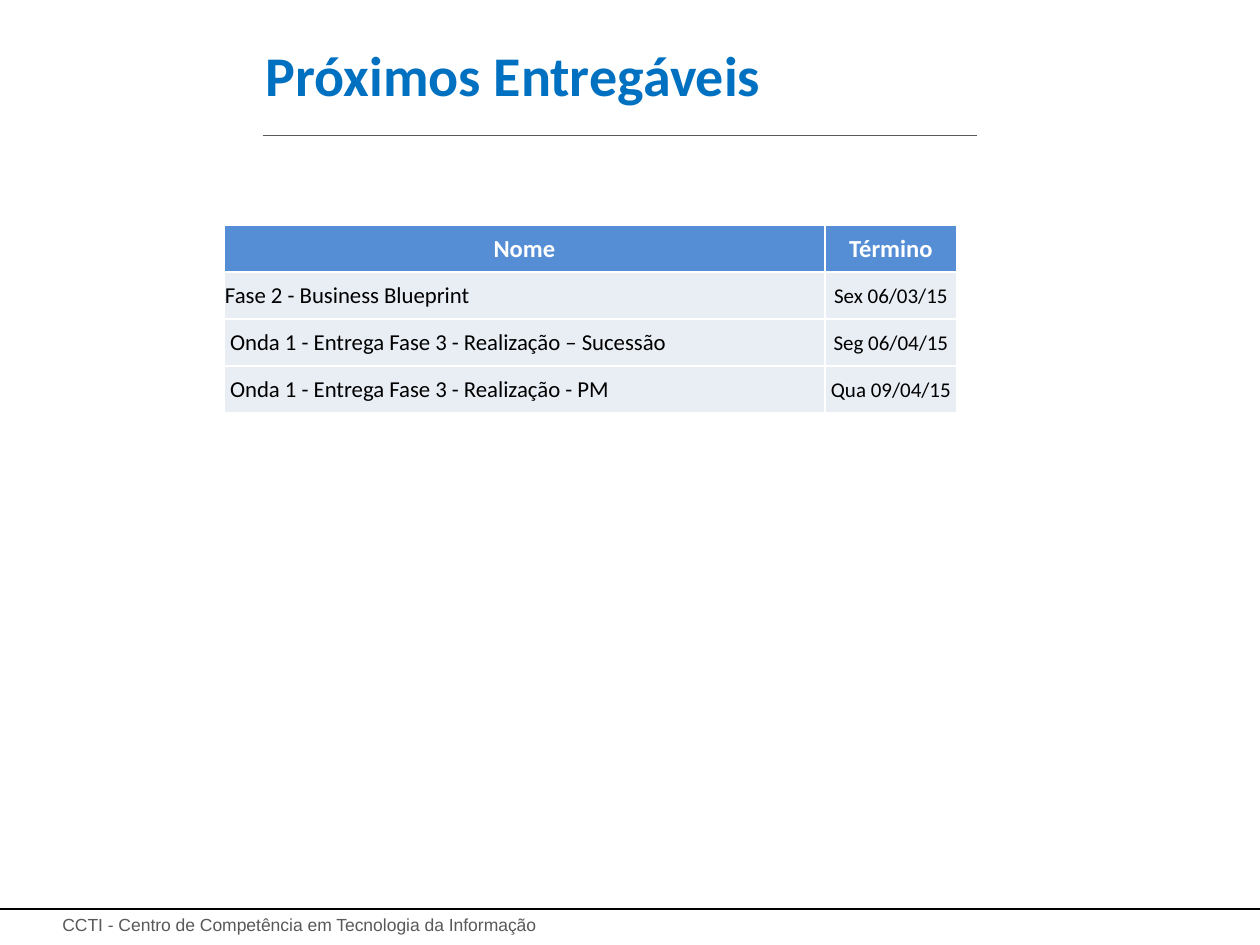
from dataclasses import dataclass

import lxml.etree
import pptx
import pptx.dml.color
import pptx.enum.shapes
import pptx.enum.text
import pptx.oxml
import pptx.oxml.ns
import pptx.util

PX = pptx.util.Inches(1) // 126
LEFT = pptx.enum.text.PP_ALIGN.LEFT
CENTER = pptx.enum.text.PP_ALIGN.CENTER
MIDDLE = pptx.enum.text.MSO_ANCHOR.MIDDLE
HEADER_FILL, BODY_FILL = "558ED5", "E9EDF4"
COLUMN_WIDTHS = (601, 132)
ROW_HEIGHT = 47


@dataclass(frozen=True)
class TextStyle:
    size: int
    color: str
    bold: bool = False
    font: str = "Calibri"
    align: pptx.enum.text.PP_ALIGN = LEFT


@dataclass(frozen=True)
class Deliverable:
    name: str
    due: str


@dataclass(frozen=True)
class Rule:
    left: int
    right: int
    y: int
    color: str
    width: float


HEADER_STYLE = TextStyle(14, "FFFFFF", bold=True, align=CENTER)
NAME_STYLE = TextStyle(13, "000000")
DUE_STYLE = TextStyle(12, "000000", align=CENTER)

DELIVERABLES = (
    Deliverable("Fase 2 - Business Blueprint", "Sex 06/03/15"),
    Deliverable(" Onda 1 - Entrega Fase 3 - Realização – Sucessão", "Seg 06/04/15"),
    Deliverable(" Onda 1 - Entrega Fase 3 - Realização - PM", "Qua 09/04/15"),
)
RULES = (
    Rule(0, 1260, 909, "000000", 0.75),
    Rule(263, 977, 135, "595959", 0.5),
)


def px(length: int) -> pptx.util.Emu:
    return pptx.util.Emu(length * PX)


def rgb(color: str) -> pptx.dml.color.RGBColor:
    return pptx.dml.color.RGBColor.from_string(color)


def write(frame, text: str, style: TextStyle) -> None:
    paragraph = frame.paragraphs[0]
    paragraph.alignment = style.align
    run = paragraph.add_run()
    run.text = text
    run.font.name = style.font
    run.font.size = pptx.util.Pt(style.size)
    run.font.bold = style.bold
    run.font.color.rgb = rgb(style.color)


def place(shape, left: int, top: int, width: int, height: int) -> None:
    shape.left, shape.top = px(left), px(top)
    shape.width, shape.height = px(width), px(height)


def draw_rule(slide, rule: Rule) -> None:
    line = slide.shapes.add_connector(
        pptx.enum.shapes.MSO_CONNECTOR.STRAIGHT,
        px(rule.left), px(rule.y), px(rule.right), px(rule.y))
    line.line.color.rgb = rgb(rule.color)
    line.line.width = pptx.util.Pt(rule.width)
    lxml.etree.SubElement(line._element.spPr, pptx.oxml.ns.qn("a:effectLst"))


def border_cell(cell, color: str, width: float) -> None:
    """Outline all four sides; borders must precede the fill in the XML."""
    properties = cell._tc.get_or_add_tcPr()
    for index, side in enumerate(("lnL", "lnR", "lnT", "lnB")):
        properties.insert(index, pptx.oxml.parse_xml(
            f'<a:{side} {pptx.oxml.ns.nsdecls("a")} w="{pptx.util.Pt(width)}">'
            f'<a:solidFill><a:srgbClr val="{color}"/></a:solidFill></a:{side}>'))


def fill_cell(cell, text: str, style: TextStyle, fill: str) -> None:
    cell.vertical_anchor = MIDDLE
    cell.margin_left = cell.margin_right = cell.margin_top = px(1)
    cell.margin_bottom = 0
    cell.fill.solid()
    cell.fill.fore_color.rgb = rgb(fill)
    border_cell(cell, "FFFFFF", 1)
    write(cell.text_frame, text, style)


def draw_deliverables(slide, left: int, top: int) -> None:
    row_count = len(DELIVERABLES) + 1
    table = slide.shapes.add_table(
        row_count, len(COLUMN_WIDTHS), px(left), px(top),
        px(sum(COLUMN_WIDTHS)), px(ROW_HEIGHT * row_count)).table
    for column, width in zip(table.columns, COLUMN_WIDTHS):
        column.width = px(width)
    for index, heading in enumerate(("Nome", "Término")):
        fill_cell(table.cell(0, index), heading, HEADER_STYLE, HEADER_FILL)
    for row, item in enumerate(DELIVERABLES, start=1):
        fill_cell(table.cell(row, 0), item.name, NAME_STYLE, BODY_FILL)
        fill_cell(table.cell(row, 1), item.due, DUE_STYLE, BODY_FILL)


def draw_title(slide) -> None:
    title = slide.shapes.title
    place(title, 253, 19, 777, 110)
    title.text_frame.vertical_anchor = MIDDLE
    title.text_frame.auto_size = pptx.enum.text.MSO_AUTO_SIZE.NONE
    write(title.text_frame, "Próximos Entregáveis",
          TextStyle(32, "0070C0", bold=True))


def draw_footer(slide) -> None:
    footer = slide.shapes.add_textbox(px(50), px(908), px(620), px(34))
    footer.text_frame.word_wrap = True
    write(footer.text_frame,
          "CCTI - Centro de Competência em Tecnologia da Informação",
          TextStyle(10, "595959", font="Arial"))


def main() -> None:
    deck = pptx.Presentation()
    deck.slide_width, deck.slide_height = px(1260), px(945)
    slide = deck.slides.add_slide(deck.slide_layouts.get_by_name("Title Only"))
    draw_footer(slide)
    for rule in RULES:
        draw_rule(slide, rule)
    draw_title(slide)
    draw_deliverables(slide, 224, 225)
    deck.save("out.pptx")


if __name__ == "__main__":
    main()
